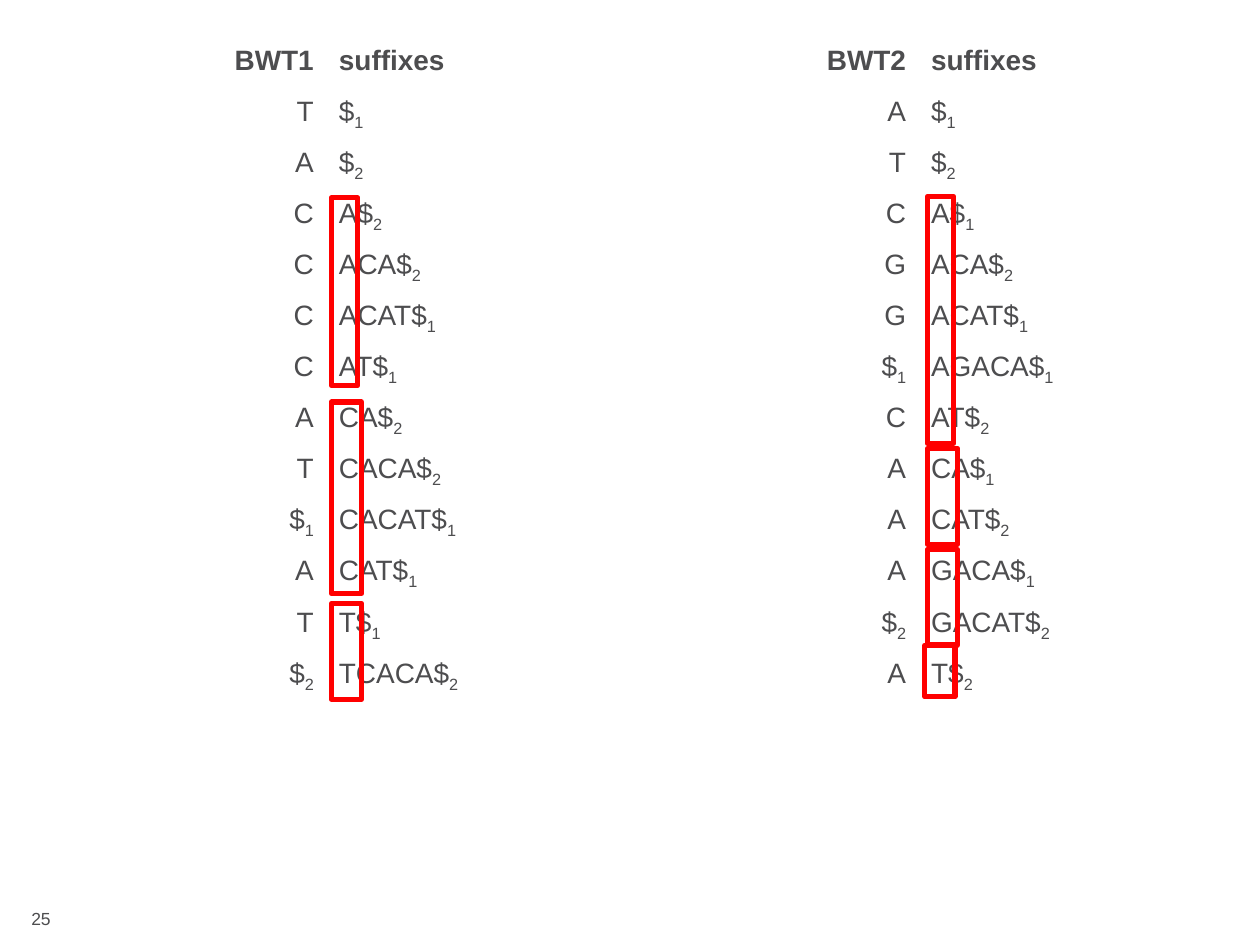
from dataclasses import dataclass

from pptx import Presentation
from pptx.dml.color import RGBColor
from pptx.enum.shapes import MSO_SHAPE
from pptx.enum.text import MSO_ANCHOR, PP_ALIGN
from pptx.oxml.ns import qn
from pptx.util import Inches, Pt
from lxml.etree import SubElement


@dataclass(frozen=True)
class Theme:
    """Hold the colours, font and type sizes of the slide."""
    ink: RGBColor = RGBColor(0x4D, 0x4D, 0x4F)
    paper: RGBColor = RGBColor(0xFF, 0xFF, 0xFF)
    mark: RGBColor = RGBColor(0xFF, 0x00, 0x00)
    font: str = "Arial"
    body: Pt = Pt(16)
    footer: Pt = Pt(10)
    outline: Pt = Pt(3)


THEME = Theme()
SUBSCRIPT = "-25000"
HEADER = ("BWT1", "suffixes", "BWT2", "suffixes")
ROTATIONS = (
    ("T", "$1", "A", "$1"),
    ("A", "$2", "T", "$2"),
    ("C", "A$2", "C", "A$1"),
    ("C", "ACA$2", "G", "ACA$2"),
    ("C", "ACAT$1", "G", "ACAT$1"),
    ("C", "AT$1", "$1", "AGACA$1"),
    ("A", "CA$2", "C", "AT$2"),
    ("T", "CACA$2", "A", "CA$1"),
    ("$1", "CACAT$1", "A", "CAT$2"),
    ("A", "CAT$1", "A", "GACA$1"),
    ("T", "T$1", "$2", "GACAT$2"),
    ("$2", "TCACA$2", "A", "T$2"),
)
TABLE_BOX = (0.24, 0.31, 9.4, 5.27)
NUMBER_BOX = (0.15, 7.16, 0.9, 0.27)
PREFIX_GROUPS = (
    (2.39, 1.26, 0.21, 1.49),
    (7.12, 1.25, 0.21, 1.96),
    (2.39, 2.88, 0.24, 1.52),
    (7.12, 3.25, 0.24, 0.76),
    (7.12, 4.05, 0.24, 0.76),
    (2.39, 4.48, 0.24, 0.76),
    (7.1, 4.81, 0.24, 0.41),
)


def add_run(paragraph, text, size, bold=False):
    """Append a formatted run and return it."""
    run = paragraph.add_run()
    run.text = text
    run.font.color.rgb = THEME.ink
    for name, value in {"name": THEME.font, "size": size, "bold": bold}.items():
        setattr(run.font, name, value)
    return run


def fill_cell(cell, text, align, bold):
    """Write a cell, setting the index after a dollar sign as a subscript."""
    cell.fill.solid()
    cell.fill.fore_color.rgb = THEME.paper
    cell.vertical_anchor = MSO_ANCHOR.TOP
    paragraph = cell.text_frame.paragraphs[0]
    paragraph.alignment = align
    stem, sentinel, index = text.partition("$")
    add_run(paragraph, stem + sentinel, THEME.body, bold)
    if index:
        subscript = add_run(paragraph, index, THEME.body, bold)
        subscript.font._element.set("baseline", SUBSCRIPT)


def add_suffix_table(slide, box):
    """Place the table of transforms and sorted suffixes in the box."""
    rows = (HEADER, *ROTATIONS)
    table = slide.shapes.add_table(len(rows), len(HEADER), *map(Inches, box)).table
    for flag in ("first_row", "horz_banding"):
        setattr(table, flag, False)
    for row_index, row in enumerate(rows):
        for column, text in enumerate(row):
            align = PP_ALIGN.LEFT if column % 2 else PP_ALIGN.RIGHT
            fill_cell(table.cell(row_index, column), text, align, row is HEADER)


def add_prefix_groups(slide, box):
    """Outline the runs of shared first letters, relative to the table box."""
    left, top = box[:2]
    for dx, dy, width, height in PREFIX_GROUPS:
        group = slide.shapes.add_shape(
            MSO_SHAPE.RECTANGLE, *map(Inches, (left + dx, top + dy, width, height)))
        group.shadow.inherit = False
        group.fill.background()
        group.line.color.rgb = THEME.mark
        group.line.width = THEME.outline
        SubElement(group.line._get_or_add_ln(), qn("a:round"))


def add_slide_number(slide, box):
    """Place the slide number in the box."""
    frame = slide.shapes.add_textbox(*map(Inches, box)).text_frame
    frame.word_wrap = True
    add_run(frame.paragraphs[0], "25", THEME.footer)


def main():
    """Build and save the slide."""
    deck = Presentation()
    deck.slide_width, deck.slide_height = Inches(10), Inches(7.5)
    slide = deck.slides.add_slide(deck.slide_layouts[6])
    add_slide_number(slide, NUMBER_BOX)
    add_suffix_table(slide, TABLE_BOX)
    add_prefix_groups(slide, TABLE_BOX)
    deck.save("out.pptx")


if __name__ == "__main__":
    main()
